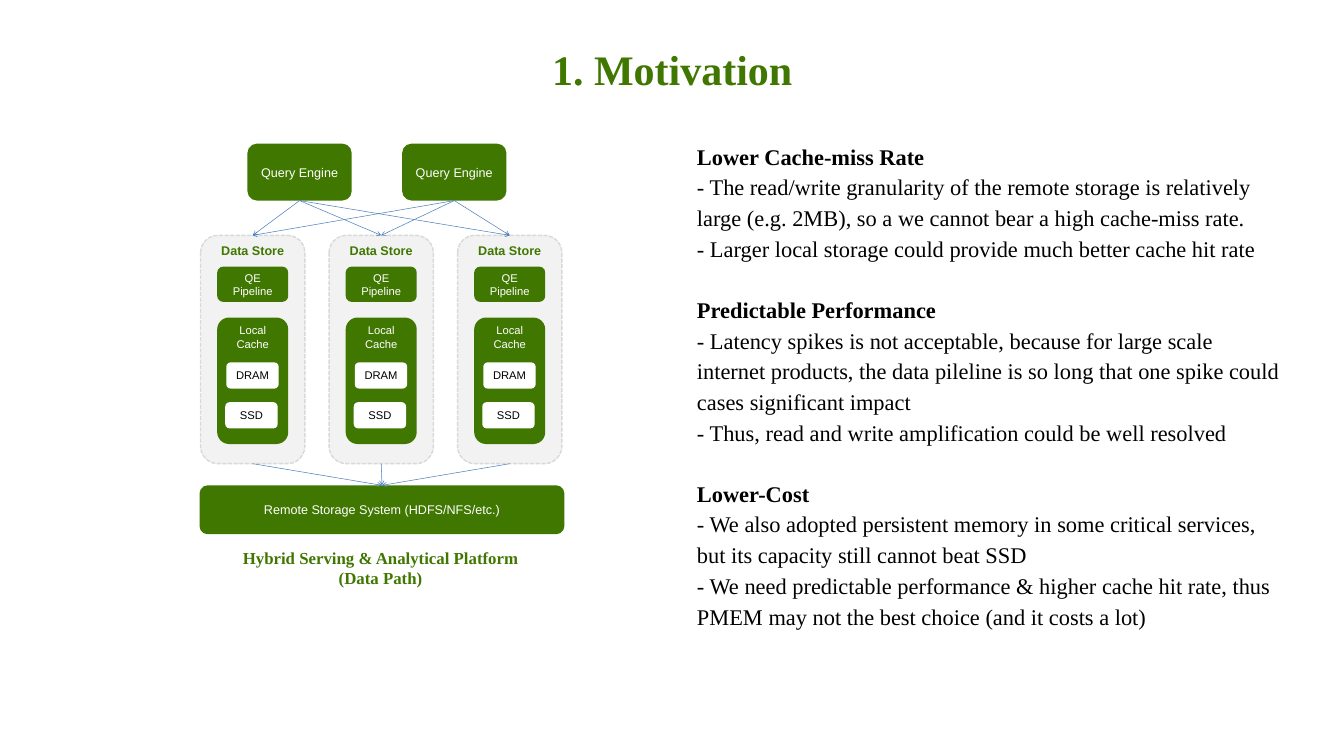
from pptx import Presentation
from pptx.dml.color import RGBColor
from pptx.enum.dml import MSO_LINE
from pptx.enum.shapes import MSO_CONNECTOR, MSO_SHAPE
from pptx.enum.text import MSO_ANCHOR as Anchor, MSO_AUTO_SIZE, PP_ALIGN as Align
from pptx.oxml.ns import qn
from pptx.util import Inches, Pt
from lxml.etree import SubElement

GREEN, PALE, GREY = "407700", "F2F2F2", "D9D9D9"
WHITE, BLACK, BLUE = "FFFFFF", "000000", "4B7EBC"
SANS, SERIF = "Arial", "Times New Roman"
TOP, BOTTOM = 0, 2

ARGUMENTS = {
    "Lower Cache-miss Rate": [
        "- The read/write granularity of the remote storage is relatively large "
        "(e.g. 2MB), so a we cannot bear a high cache-miss rate.",
        "- Larger local storage could provide much better cache hit rate",
    ],
    "Predictable Performance": [
        "- Latency spikes is not acceptable, because for large scale internet "
        "products, the data pileline is so long that one spike could cases "
        "significant impact",
        "- Thus, read and write amplification could be well resolved",
    ],
    "Lower-Cost": [
        "- We also adopted persistent memory in some critical services, but its "
        "capacity still cannot beat SSD",
        "- We need predictable performance & higher cache hit rate, thus PMEM may "
        "not the best choice (and it costs a lot)",
    ],
}


def rgb(value):
    return RGBColor.from_string(value)


def apply(target, values):
    for name, value in values.items():
        setattr(target, name, value)


def style(paragraph, size, color, face, bold=False, **layout):
    apply(paragraph, layout)
    apply(paragraph.font, {"size": Pt(size), "name": face, "bold": bold})
    paragraph.font.color.rgb = rgb(color)


def place(shape, left, top, width, height):
    apply(shape, {"left": Inches(left), "top": Inches(top),
                  "width": Inches(width), "height": Inches(height)})
    apply(shape.text_frame, {"word_wrap": True, "vertical_anchor": Anchor.TOP,
                             "auto_size": MSO_AUTO_SIZE.NONE})


def add_block(slide, label, left, top, width, height, size=18, fill=GREEN,
              color=WHITE, bold=False, anchor=Anchor.MIDDLE):
    block = slide.shapes.add_shape(MSO_SHAPE.ROUNDED_RECTANGLE, Inches(left),
                                   Inches(top), Inches(width), Inches(height))
    block.shadow.inherit = False
    block.fill.solid()
    block.fill.fore_color.rgb = rgb(fill)
    block.line.fill.background()
    apply(block.text_frame, {"text": label, "word_wrap": True,
                             "vertical_anchor": anchor})
    style(block.text_frame.paragraphs[0], size, color, SANS, bold,
          alignment=Align.CENTER)
    return block


def add_data_store(slide, left):
    store = add_block(slide, "Data Store", left, 4.67, 2.07, 4.53, fill=PALE,
                      color=GREEN, bold=True, anchor=Anchor.TOP)
    store.line.color.rgb = rgb(GREY)
    apply(store.line, {"width": Pt(2), "dash_style": MSO_LINE.SQUARE_DOT})

    inner = left + 0.33
    add_block(slide, "QE Pipeline", inner, 5.29, 1.41, 0.7, size=16)
    add_block(slide, "Local Cache", inner, 6.3, 1.41, 2.51, size=16,
              anchor=Anchor.TOP)
    for tier, offset, top in (("DRAM", 0.18, 7.19), ("SSD", 0.16, 7.98)):
        add_block(slide, tier, inner + offset, top, 1.04, 0.52, size=16,
                  fill=WHITE, color=BLACK)
    return store


def add_arrow(slide, upper, lower):
    arrow = slide.shapes.add_connector(MSO_CONNECTOR.STRAIGHT, 0, 0, 0, 0)
    arrow.begin_connect(upper, BOTTOM)
    arrow.end_connect(lower, TOP)
    arrow.line.color.rgb = rgb(BLUE)
    arrow.line.width = Pt(0.75)
    properties = arrow._element.spPr
    SubElement(properties.find(qn("a:ln")), qn("a:tailEnd"), type="arrow")
    SubElement(properties, qn("a:effectLst"))


def add_title(slide):
    title = slide.shapes.title
    place(title, 6.25, 0.81, 14.18, 1.02)
    title.text_frame.text = "1. Motivation"
    style(title.text_frame.paragraphs[0], 60, GREEN, SERIF, True,
          alignment=Align.CENTER)


def add_caption(slide):
    caption = slide.shapes.add_textbox(0, 0, 0, 0)
    place(caption, 3.54, 10.81, 8.02, 1.02)
    caption.text_frame.text = "Hybrid Serving & Analytical Platform\n(Data Path)"
    for line in caption.text_frame.paragraphs:
        style(line, 24, GREEN, SERIF, True, alignment=Align.CENTER)


def add_arguments(slide):
    body = slide.placeholders[1]
    place(body, 13.73, 2.7, 11.83, 9.57)
    lines = [line for heading, points in ARGUMENTS.items()
             for line in (heading, *points)]
    body.text_frame.text = "\n".join(lines)
    for index, paragraph in enumerate(body.text_frame.paragraphs):
        is_heading = lines[index] in ARGUMENTS
        properties = paragraph._p.get_or_add_pPr()
        properties.set("marL", "0")
        properties.set("indent", "0")
        SubElement(properties, qn("a:buNone"))
        style(paragraph, 32, BLACK, SERIF, is_heading, line_spacing=1.15,
              space_before=Pt(42 if is_heading and index else 0))


def main():
    deck = Presentation()
    apply(deck, {"slide_width": Inches(26.67), "slide_height": Inches(15)})
    slide = deck.slides.add_slide(deck.slide_layouts[1])
    add_title(slide)

    # Data path diagram, from the engines down to the remote storage
    engines = [add_block(slide, "Query Engine", 4.91 + 3.07 * column, 2.85, 2.07, 1.13)
               for column in range(2)]
    stores = [add_data_store(slide, 3.98 + 2.55 * column) for column in range(3)]
    remote = add_block(slide, "Remote Storage System (HDFS/NFS/etc.)",
                       3.96, 9.63, 7.24, 0.97)
    for store in stores:
        for engine in engines:
            add_arrow(slide, engine, store)
        add_arrow(slide, store, remote)
    add_caption(slide)

    # Reasons beside the diagram
    add_arguments(slide)
    deck.save("out.pptx")


if __name__ == "__main__":
    main()
